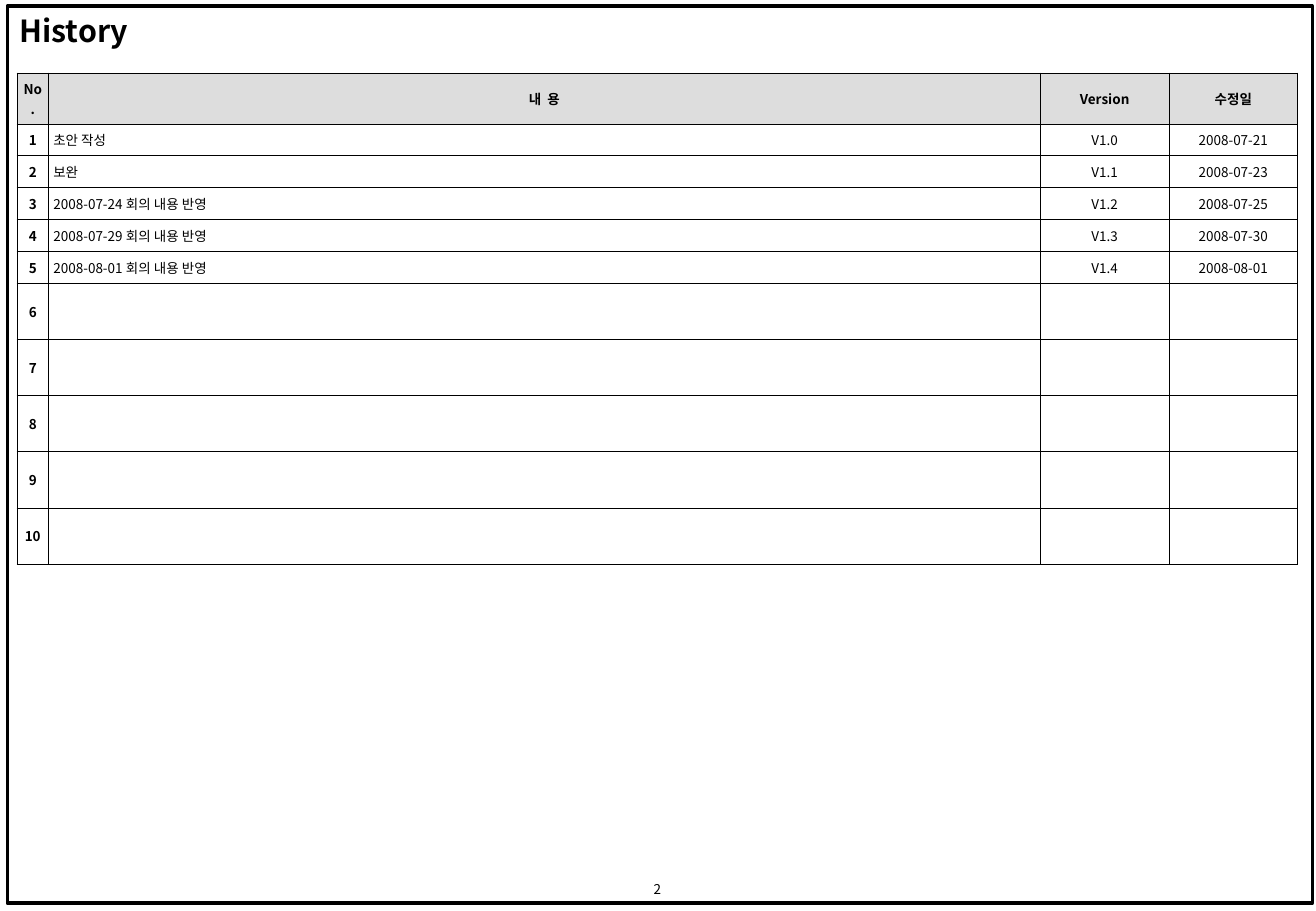
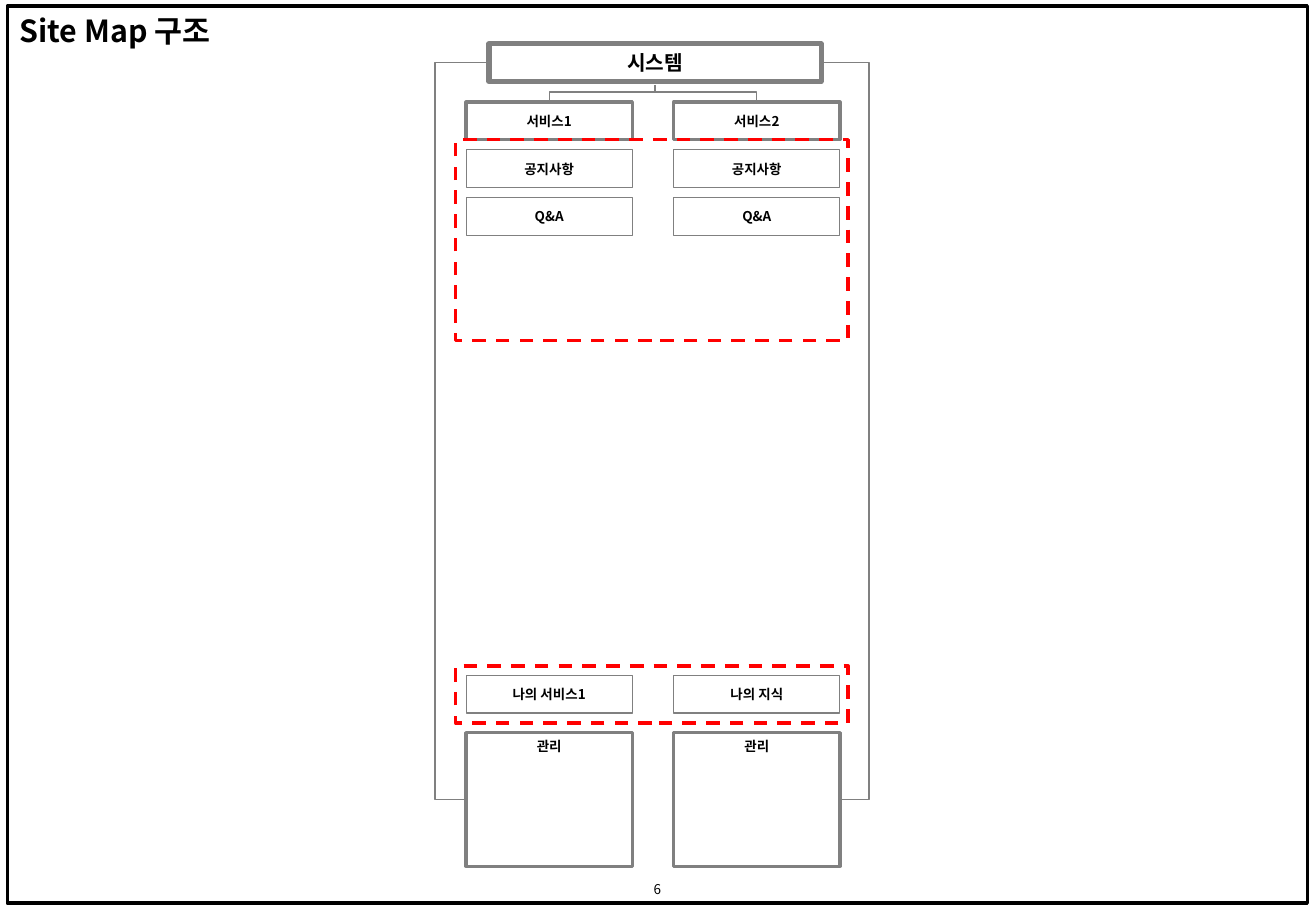
import dataclasses
import lxml.etree
import pptx
import pptx.dml.color
import pptx.enum.dml
import pptx.enum.shapes
import pptx.enum.text
import pptx.oxml.ns
import pptx.util

ALIGN = pptx.enum.text.PP_ALIGN
ANCHOR = pptx.enum.text.MSO_ANCHOR
SHAPE = pptx.enum.shapes.MSO_SHAPE
DASH = pptx.enum.dml.MSO_LINE.DASH
WIDE, HIGH = 10.84, 7.5


@dataclasses.dataclass(frozen=True)
class Theme:
    font: str = "Noto Sans CJK KR"
    ink: str = "000000"
    paper: str = "FFFFFF"
    head: str = "DDDDDD"
    gray: str = "808080"
    alert: str = "FF0000"
    title: float = 18
    root: float = 12
    body: float = 8
    hair: float = 0.45
    thin: float = 0.75
    bold: float = 2
    thick: float = 3


@dataclasses.dataclass(frozen=True)
class Grid:
    """Origin and pitch in inches; positions count columns and rows."""
    left: float
    top: float
    col: float
    row: float

    def spot(self, col, row):
        return (pptx.util.Inches(self.left + col * self.col),
                pptx.util.Inches(self.top + row * self.row))

    def size(self, cols, rows):
        return (pptx.util.Inches(cols * self.col),
                pptx.util.Inches(rows * self.row))

    def area(self, col, row, cols, rows):
        return self.spot(col, row) + self.size(cols, rows)


# Page positions are percentages of the slide's size
PAGE = Grid(0, 0, WIDE / 100, HIGH / 100)
# The map has two columns; twelve rows span 4.72 inches
MAP = Grid(3.84, 0.84, 1.71, 4.72 / 12)


def color(code):
    return pptx.dml.color.RGBColor.from_string(code)


def apply(target, values):
    for name, value in values.items():
        setattr(target, name, value)


def child(parent, tag, **attrs):
    return lxml.etree.SubElement(parent, pptx.oxml.ns.qn(tag), attrs)


def inset(side, edge):
    side, edge = pptx.util.Inches(side), pptx.util.Inches(edge)
    return dict(margin_left=side, margin_right=side,
                margin_top=edge, margin_bottom=edge)


class Deck:
    def __init__(self, theme):
        self.theme = theme
        self.show = pptx.Presentation()
        apply(self.show, dict(slide_width=pptx.util.Inches(WIDE),
                              slide_height=pptx.util.Inches(HIGH)))
        self.slide = None

    # Shared formatting
    def label(self, frame, text, size, bold=True, align=ALIGN.CENTER):
        para = frame.paragraphs[0]
        para.alignment = align
        run = para.add_run()
        run.text = text
        apply(run.font, dict(name=self.theme.font, bold=bold,
                             size=pptx.util.Pt(size)))
        run.font.color.rgb = color(self.theme.ink)
        child(run.font._element, "a:ea", typeface=self.theme.font)

    def stroke(self, line, code, width, dash=None):
        line.color.rgb = color(code)
        line.width = pptx.util.Pt(width)
        if dash:
            line.dash_style = dash

    # Title frame and page number
    def page(self, title, number, cols):
        self.slide = self.show.slides.add_slide(self.show.slide_layouts[5])
        head = self.slide.shapes.title
        left, top, width, height = PAGE.area(0.55, 0.67, cols, 98.47)
        apply(head, dict(left=left, top=top, width=width, height=height))
        self.stroke(head.line, self.theme.ink, self.theme.bold)
        apply(head.text_frame, dict(
            inset(0.1, 0.05), vertical_anchor=ANCHOR.TOP, word_wrap=True,
            auto_size=pptx.enum.text.MSO_AUTO_SIZE.NONE))
        self.label(head.text_frame, title, self.theme.title, align=ALIGN.LEFT)
        foot = self.slide.shapes.add_textbox(
            *PAGE.area(48.25, 95.87, 3.41, 3.47)).text_frame
        apply(foot, dict(inset(0.1, 0.05), word_wrap=True,
                         vertical_anchor=ANCHOR.MIDDLE))
        self.label(foot, str(number), self.theme.body, bold=False)

    # Ruled table with a shaded head row
    def table(self, spot, cols, rows, data):
        table = self.slide.shapes.add_table(
            len(rows), len(cols),
            *PAGE.area(*spot, sum(cols), sum(rows))).table
        apply(table, dict(first_row=False, horz_banding=False))
        for column, share in zip(table.columns, cols):
            column.width = PAGE.size(share, 0)[0]
        for row, share in zip(table.rows, rows):
            row.height = PAGE.size(0, share)[1]
        for r, line in enumerate(data):
            for c, text in enumerate(line):
                self.cell(table.cell(r, c), text, head=r == 0,
                          bold=r == 0 or c == 0,
                          align=ALIGN.LEFT if r and c == 1 else ALIGN.CENTER)

    def cell(self, cell, text, head, bold, align):
        props = cell._tc.get_or_add_tcPr()
        for side in "LRTB":
            edge = child(props, f"a:ln{side}",
                         w=str(int(pptx.util.Pt(self.theme.hair))))
            child(child(edge, "a:solidFill"), "a:srgbClr", val=self.theme.ink)
        cell.fill.solid()
        cell.fill.fore_color.rgb = color(
            self.theme.head if head else self.theme.paper)
        apply(cell, dict(inset(0.04, 0.05), vertical_anchor=ANCHOR.MIDDLE))
        if text:
            self.label(cell.text_frame, text, self.theme.body, bold, align)

    # Boxes and dashed frames on the map
    def rect(self, area):
        shape = self.slide.shapes.add_shape(SHAPE.RECTANGLE, *MAP.area(*area))
        shape.shadow.inherit = False
        return shape

    def box(self, text, area, width, size=None, anchor=ANCHOR.MIDDLE):
        shape = self.rect(area)
        shape.fill.solid()
        shape.fill.fore_color.rgb = color(self.theme.paper)
        self.stroke(shape.line, self.theme.gray, width)
        apply(shape.text_frame, dict(inset(0.04, 0.04), word_wrap=False,
                                     vertical_anchor=anchor))
        self.label(shape.text_frame, text, size or self.theme.body)

    def frame(self, area):
        shape = self.rect(area)
        shape.fill.background()
        self.stroke(shape.line, self.theme.alert, self.theme.bold, DASH)

    # Elbow line; bend is the share of the run before the turn
    def link(self, start, end, bend, down=False):
        (x1, y1), (x2, y2) = MAP.spot(*start), MAP.spot(*end)
        ends = x1, y1, x2, y2
        if down:
            # Lay the elbow on its side, then turn it about its centre
            midx, midy = (x1 + x2) // 2, (y1 + y2) // 2
            halfx, halfy = abs(y2 - y1) // 2, abs(x2 - x1) // 2
            ends = midx - halfx, midy - halfy, midx + halfx, midy + halfy
        line = self.slide.shapes.add_connector(
            pptx.enum.shapes.MSO_CONNECTOR.ELBOW, *ends)
        self.stroke(line.line, self.theme.gray, self.theme.thin)
        props = line._element.spPr
        if down:
            xfrm = props.find(pptx.oxml.ns.qn("a:xfrm"))
            turn = {"rot": "5400000"} if x2 < x1 else {
                "rot": "16200000", "flipH": "1"}
            for name, value in turn.items():
                xfrm.set(name, value)
        guides = next(props.iter(pptx.oxml.ns.qn("a:avLst")))
        child(guides, "a:gd", name="adj1", fmla=f"val {round(bend * 100000)}")
        child(props, "a:effectLst")


def history(deck):
    deck.page("History", 2, 99.17)
    notes = [("초안 작성", "07-21"), ("보완", "07-23"),
             ("2008-07-24 회의 내용 반영", "07-25"),
             ("2008-07-29 회의 내용 반영", "07-30"),
             ("2008-08-01 회의 내용 반영", "08-01")]
    data = [("No.", "내  용", "Version", "수정일")]
    data += [(str(n + 1), note, f"V1.{n}", f"2008-{day}")
             for n, (note, day) in enumerate(notes)]
    data += [(str(n), "", "", "") for n in range(6, 11)]
    deck.table((1.29, 8), [2.4, 75.37, 9.78, 9.78],
               [5.6] + [3.5] * 5 + [6.17] * 5, data)


def sitemap(deck):
    theme = deck.theme
    deck.page("Site Map 구조", 6, 98.8)
    # Root and the lines to its services
    deck.box("시스템", (0.11, -1.22, 1.6, 0.79), theme.thick, theme.root)
    for col in (0.4, 1.4):
        deck.link((0.91, -0.36), (col, -0.03), 0.46, down=True)
    # Services and their pages
    menu = [(0, theme.bold, ("서비스1", "서비스2")),
            (1, theme.thin, ("공지사항", "공지사항")),
            (2, theme.thin, ("Q&A", "Q&A")),
            (12, theme.thin, ("나의 서비스1", "나의 지식"))]
    for row, width, names in menu:
        for col, name in enumerate(names):
            deck.box(name, (col, row, 0.8, 0.79), width)
    # Administration, with a rail from the root on each side
    for col in (0, 1):
        deck.box("관리", (col, 13.2, 0.8, 2.8), theme.bold, anchor=ANCHOR.TOP)
    for start, end, rail in ((0.11, 0, -0.15), (1.71, 1.8, 1.94)):
        deck.link((start, -0.82), (end, 14.6), (rail - start) / (end - start))
    # Marked groups
    for row, rows in ((0.79, 4.2), (11.8, 1.2)):
        deck.frame((-0.05, row, 1.89, rows))


def main():
    deck = Deck(Theme())
    history(deck)
    sitemap(deck)
    deck.show.save("out.pptx")


if __name__ == "__main__":
    main()
